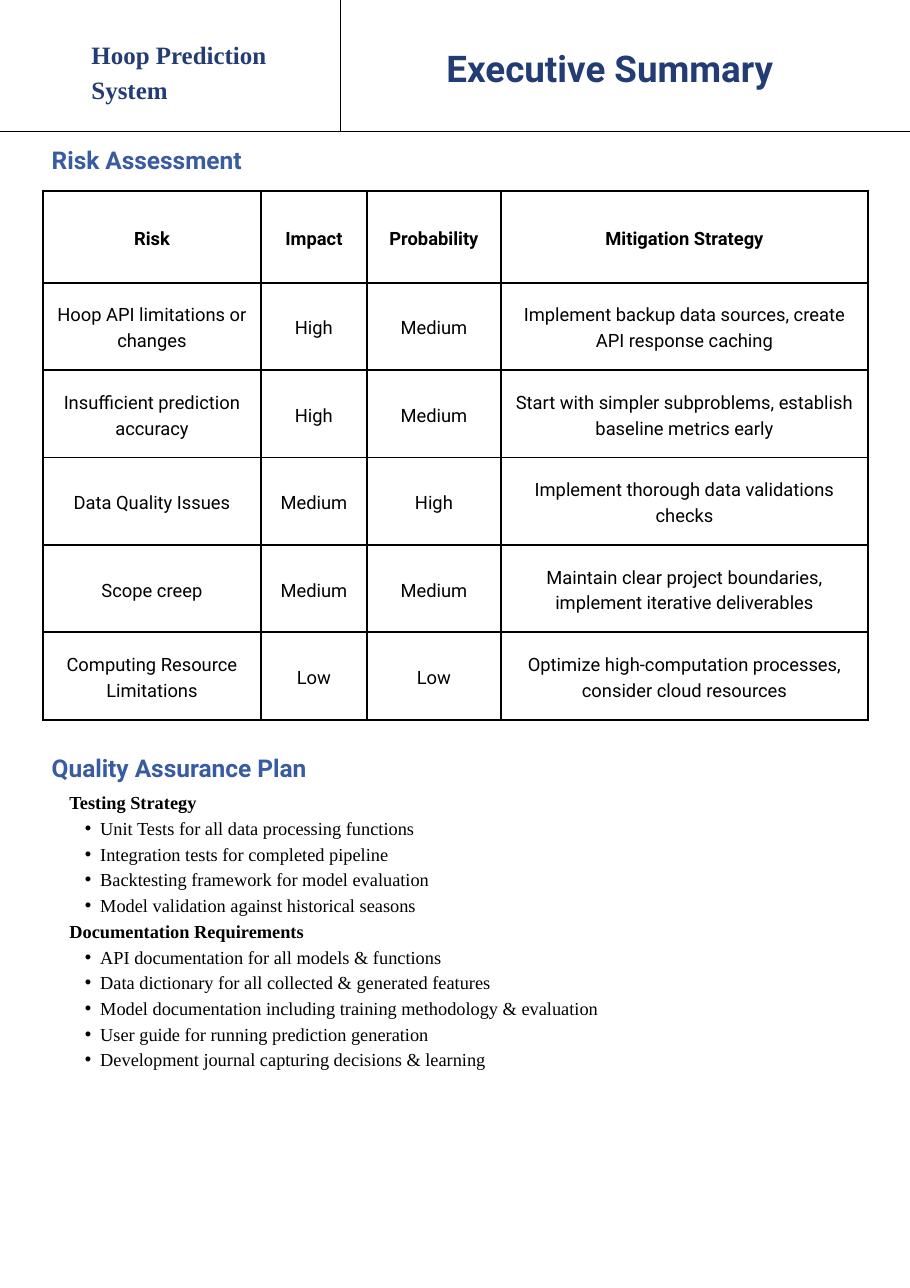
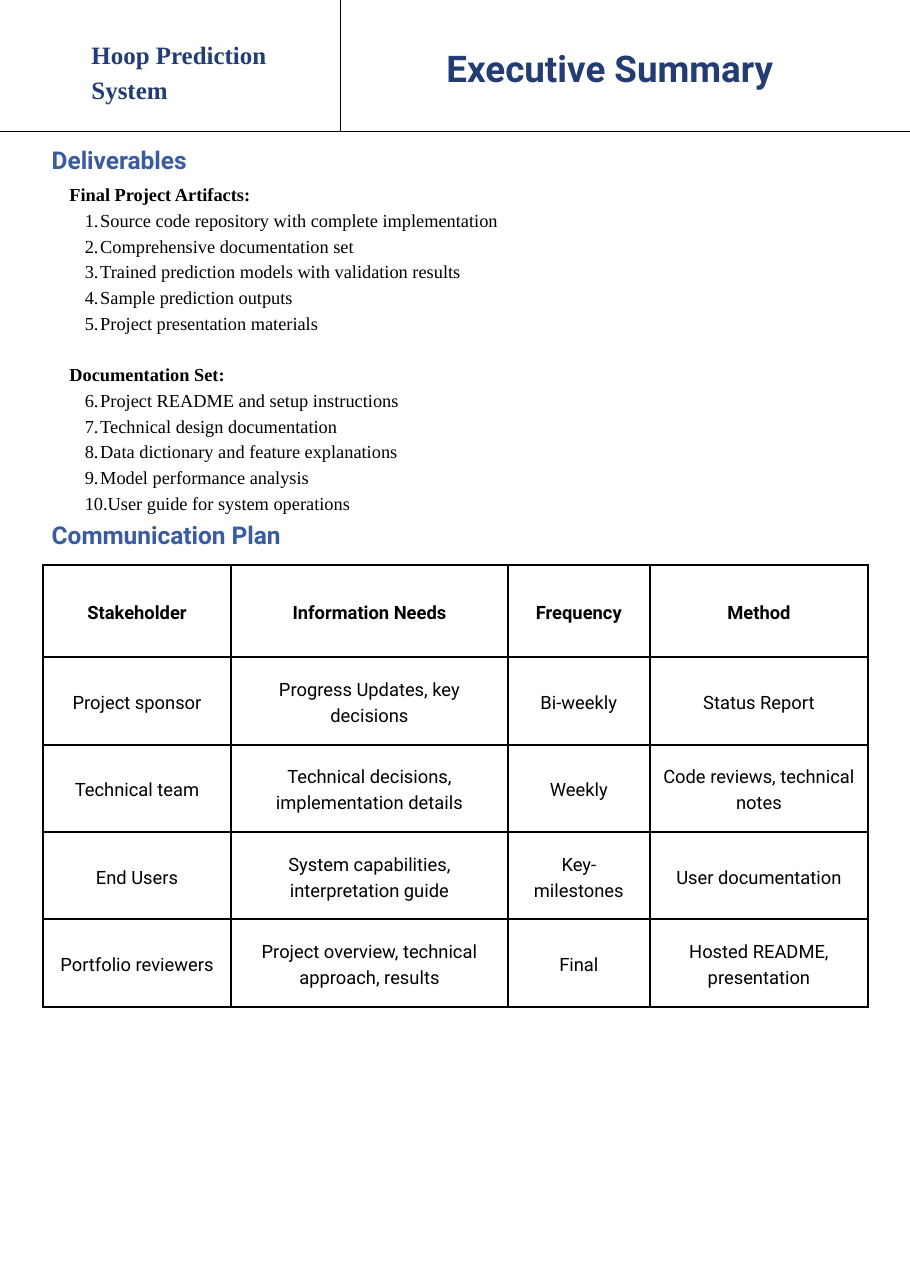
from dataclasses import dataclass
from lxml.etree import SubElement as Sub
from pptx import Presentation
from pptx.dml.color import RGBColor as Rgb
from pptx.enum.shapes import MSO_CONNECTOR as Conn
from pptx.enum.text import MSO_ANCHOR as Anchor, MSO_AUTO_SIZE as Auto, PP_ALIGN as Align
from pptx.oxml.ns import qn
from pptx.util import Inches, Pt

WIDE, HIGH = Inches(8.26), Inches(11.69)
INK = {"title": "233D74", "head": "395BA1", "text": "000000"}
SERIF, SANS = "Times New Roman", "Roboto"
LEAD = 16.8  # line pitch of body and cells, in points
BAND = 10.18  # foot of the header band
SPLIT = 37.41  # rule between the two titles
LEFT = 5.69  # left edge of headings


# Lengths are per cent of the slide's width or height
def across(part: float) -> int:
    return round(WIDE * part / 100)


def down(part: float) -> int:
    return round(HIGH * part / 100)


@dataclass(frozen=True)
class Style:
    size: float
    font: str
    ink: str
    lead: float
    bold: bool = True
    align: Align = Align.LEFT


@dataclass(frozen=True)
class Box:
    x: float
    y: float
    w: float
    h: float


@dataclass(frozen=True)
class Group:
    head: str
    items: list[str]
    start: int = 0  # first number, or 0 for bullets
    gap: float = 0  # points above the head


@dataclass(frozen=True)
class Grid:
    y: float
    cols: list[float]
    rows: list[list[str]]


NAME = Style(16.3, SERIF, "title", 22.9)
TITLE = Style(24, SANS, "title", 26.4, align=Align.CENTER)
HEAD = Style(16, SANS, "head", 17.6)
LABEL = Style(12, SERIF, "text", LEAD)
ITEM = Style(12, SERIF, "text", LEAD, bold=False)
TOP = Style(12, SANS, "text", LEAD, align=Align.CENTER)
CELL = Style(12, SANS, "text", LEAD, bold=False, align=Align.CENTER)


# Text
def write(para, text: str, style: Style) -> None:
    para.text = text
    para.alignment = style.align
    para.line_spacing = Pt(style.lead)
    for run in para.runs:
        font = run.font
        font.size, font.name, font.bold = Pt(style.size), style.font, style.bold
        font.color.rgb = Rgb.from_string(INK[style.ink])


def frame(slide, box: Box):
    shape = slide.shapes.add_textbox(across(box.x), down(box.y), across(box.w), down(box.h))
    body = shape.text_frame
    body.word_wrap = True
    body.auto_size = Auto.SHAPE_TO_FIT_TEXT
    body.margin_left = body.margin_right = body.margin_top = body.margin_bottom = 0
    return body


def label(slide, box: Box, text: str, style: Style) -> None:
    write(frame(slide, box).paragraphs[0], text, style)


def heading(slide, y: float, text: str) -> None:
    label(slide, Box(LEFT, y, 44.31, 2.14), text, HEAD)


def mark(para, start: int) -> None:
    para.level = 1
    props = para._p.get_or_add_pPr()
    props.set("marL", str(Inches(0.28)))
    props.set("indent", str(Inches(-0.14)))
    if start:
        Sub(props, qn("a:buAutoNum"), type="arabicPeriod", startAt=str(start))
    else:
        Sub(props, qn("a:buFont"), typeface="Arial")
        Sub(props, qn("a:buChar"), char="•")


def outline(slide, y: float, h: float, groups: list[Group]) -> None:
    body = frame(slide, Box(7.63, y, 84.87, h))
    for num, group in enumerate(groups):
        para = body.add_paragraph() if num else body.paragraphs[0]
        write(para, group.head, LABEL)
        para.space_before = Pt(group.gap)
        for item in group.items:
            para = body.add_paragraph()
            write(para, item, ITEM)
            mark(para, group.start)


# Tables
def border(cell) -> None:
    props = cell._tc.get_or_add_tcPr()
    for side in ("lnL", "lnR", "lnT", "lnB"):
        line = Sub(props, qn(f"a:{side}"), w=str(Pt(1.5)))
        fill = Sub(line, qn("a:solidFill"))
        Sub(fill, qn("a:srgbClr"), val=INK["text"])


def table(slide, grid: Grid) -> None:
    highs = [7.14] + [6.79] * (len(grid.rows) - 1)
    made = slide.shapes.add_table(
        len(grid.rows), len(grid.cols), across(4.72), down(grid.y),
        across(sum(grid.cols)), down(sum(highs))).table
    made.first_row = made.horz_banding = False
    for col, wide in zip(made.columns, grid.cols):
        col.width = across(wide)
    for num, (row, high, texts) in enumerate(zip(made.rows, highs, grid.rows)):
        row.height = down(high)
        for cell, text in zip(row.cells, texts):
            border(cell)
            cell.fill.background()
            cell.vertical_anchor = Anchor.MIDDLE
            cell.margin_left = cell.margin_right = Inches(0.12)
            cell.margin_top = cell.margin_bottom = Inches(0.12)
            write(cell.text_frame.paragraphs[0], text, CELL if num else TOP)


# Header band shared by all slides
def rule(slide, x1: float, y1: float, x2: float, y2: float) -> None:
    line = slide.shapes.add_connector(
        Conn.STRAIGHT, across(x1), down(y1), across(x2), down(y2))
    line.line.width = Pt(0.75)
    line.line.color.rgb = Rgb.from_string(INK["text"])
    Sub(line._element.spPr, qn("a:effectLst"))


def page(deck):
    slide = deck.slides.add_slide(deck.slide_layouts[6])
    rule(slide, 0, BAND, 100, BAND)
    rule(slide, SPLIT, 0, SPLIT, BAND)
    label(slide, Box(10.05, 2.65, 25.54, 5.22), "Hoop Prediction System", NAME)
    label(slide, Box(39.47, 3.85, 55.08, 3.25), "Executive Summary", TITLE)
    return slide


# Content
RISKS = Grid(14.8, [23.97, 11.62, 14.77, 40.31], [
    ["Risk", "Impact", "Probability", "Mitigation Strategy"],
    ["Hoop API limitations or changes", "High", "Medium",
     "Implement backup data sources, create API response caching"],
    ["Insufficient prediction accuracy", "High", "Medium",
     "Start with simpler subproblems, establish baseline metrics early"],
    ["Data Quality Issues", "Medium", "High",
     "Implement thorough data validations checks"],
    ["Scope creep", "Medium", "Medium",
     "Maintain clear project boundaries, implement iterative deliverables"],
    ["Computing Resource Limitations", "Low", "Low",
     "Optimize high-computation processes, consider cloud resources"],
])
PLAN = [
    Group("Testing Strategy", [
        "Unit Tests for all data processing functions",
        "Integration tests for completed pipeline",
        "Backtesting framework for model evaluation",
        "Model validation against historical seasons",
    ]),
    Group("Documentation Requirements", [
        "API documentation for all models & functions",
        "Data dictionary for all collected & generated features",
        "Model documentation including training methodology & evaluation",
        "User guide for running prediction generation",
        "Development journal capturing decisions & learning",
    ]),
]
GOODS = [
    Group("Final Project Artifacts:", [
        "Source code repository with complete implementation",
        "Comprehensive documentation set",
        "Trained prediction models with validation results",
        "Sample prediction outputs",
        "Project presentation materials",
    ], start=1),
    Group("Documentation Set:", [
        "Project README and setup instructions",
        "Technical design documentation",
        "Data dictionary and feature explanations",
        "Model performance analysis",
        "User guide for system operations",
    ], start=6, gap=LEAD),
]
CONTACTS = Grid(43.88, [20.7, 30.39, 15.62, 23.97], [
    ["Stakeholder", "Information Needs", "Frequency", "Method"],
    ["Project sponsor", "Progress Updates, key decisions", "Bi-weekly", "Status Report"],
    ["Technical team", "Technical decisions, implementation details", "Weekly",
     "Code reviews, technical notes"],
    ["End Users", "System capabilities, interpretation guide", "Key-milestones",
     "User documentation"],
    ["Portfolio reviewers", "Project overview, technical approach, results", "Final",
     "Hosted README, presentation"],
])


def main() -> None:
    deck = Presentation()
    deck.slide_width, deck.slide_height = WIDE, HIGH

    # Risks and quality
    slide = page(deck)
    heading(slide, 11.46, "Risk Assessment")
    table(slide, RISKS)
    heading(slide, 58.68, "Quality Assurance Plan")
    outline(slide, 61.16, 21.47, PLAN)

    # Deliverables and communication
    slide = page(deck)
    heading(slide, 11.46, "Deliverables")
    outline(slide, 13.94, 25.41, GOODS)
    heading(slide, 40.55, "Communication Plan")
    table(slide, CONTACTS)

    deck.save("out.pptx")


if __name__ == "__main__":
    main()
